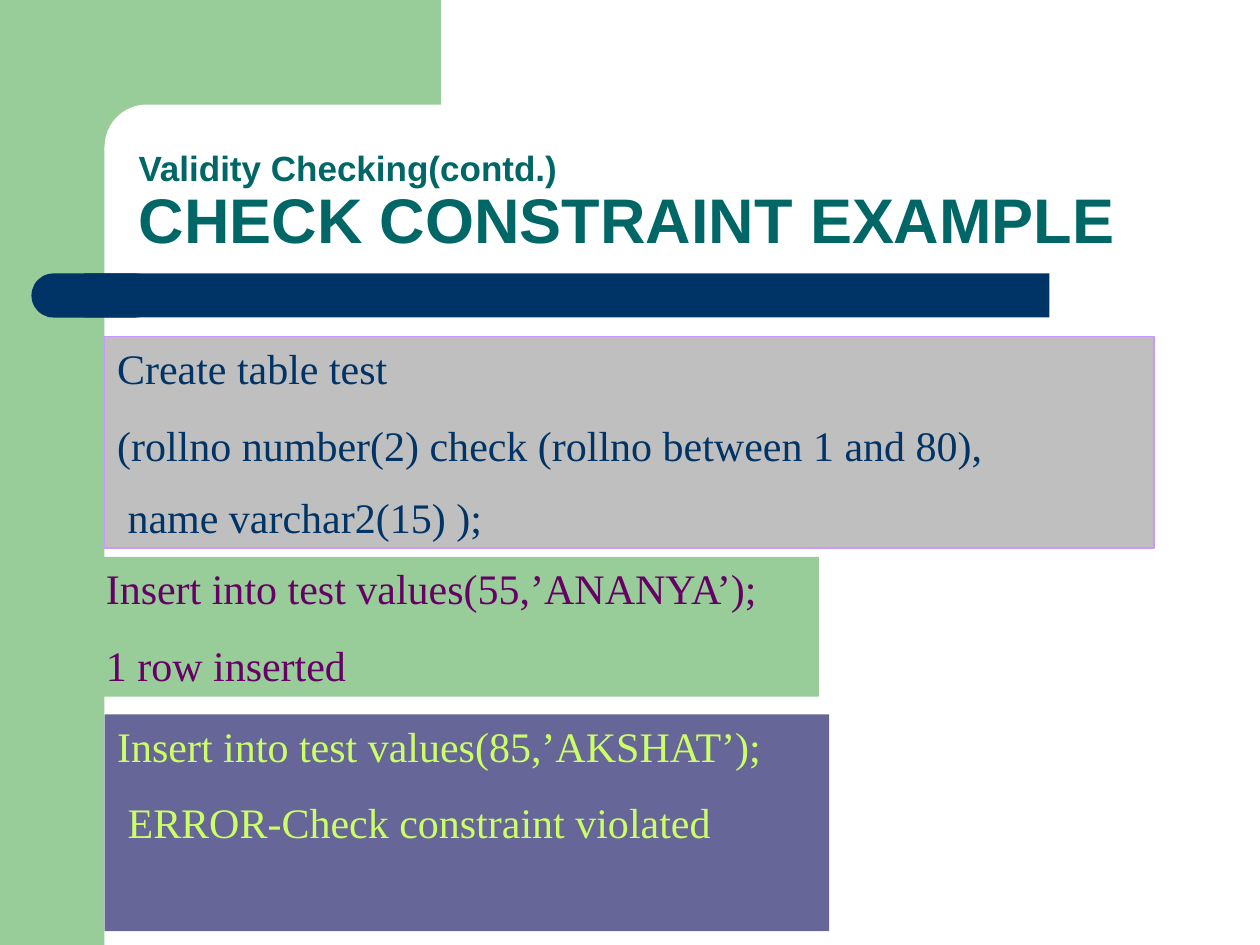
"""Builds the slide about a check constraint example."""
from dataclasses import dataclass
from typing import Optional

from pptx import Presentation
from pptx.dml.color import RGBColor
from pptx.enum.shapes import MSO_SHAPE
from pptx.enum.text import MSO_ANCHOR, PP_ALIGN
from pptx.util import Inches, Pt

GREEN = RGBColor(0x98, 0xCC, 0x98)
WHITE = RGBColor(0xFF, 0xFF, 0xFF)
NAVY = RGBColor(0x00, 0x33, 0x66)
TEAL = RGBColor(0x00, 0x66, 0x66)
GREY = RGBColor(0xBF, 0xBF, 0xBF)
LILAC = RGBColor(0xCC, 0x98, 0xFF)
INDIGO = RGBColor(0x66, 0x66, 0x98)
PURPLE = RGBColor(0x66, 0x00, 0x66)
LIME = RGBColor(0xCC, 0xFF, 0x66)
SANS, SERIF = "Arial", "Times New Roman"


@dataclass(frozen=True)
class Block:
    left: float
    top: float
    width: float
    height: float
    fill: RGBColor
    rounded: bool = False
    line: Optional[RGBColor] = None


@dataclass(frozen=True)
class Line:
    text: str
    color: RGBColor
    size: int = 24
    font: str = SERIF
    bold: bool = False
    indent: float = 0.01
    before: float = 1
    spacing: float = 1


BACKDROP = (
    Block(0, 0, 0.83, 7.5, GREEN),
    Block(0.75, 0, 2.75, 1.17, GREEN),
    Block(0.83, 0.83, 5.58, 0.67, WHITE, rounded=True),
    Block(0.25, 2.17, 1, 0.35, NAVY, rounded=True),
    Block(0.67, 2.17, 7.66, 0.35, NAVY),
)
CREATE_PANEL = Block(0.83, 2.67, 8.33, 1.68, GREY, line=LILAC)
INSERT_PANELS = (
    Block(0.75, 4.42, 5.75, 1.11, GREEN),
    Block(0.83, 5.67, 5.75, 1.72, INDIGO),
)
CREATE_LINES = (
    Line("Create table test", NAVY, indent=0.1, before=3.7),
    Line("(rollno number(2) check (rollno between 1 and 80),\v name varchar2(15) );",
         NAVY, indent=0.1, before=2.5, spacing=1.43),
)
INSERT_LINES = (
    Line("Insert into test values(55,’ANANYA’);\v1 row inserted", PURPLE, spacing=1.52),
    Line("Insert into test values(85,’AKSHAT’);\v ERROR-Check constraint violated",
         LIME, indent=0.1, before=2.3, spacing=1.52),
)
SUBTITLE = Line("Validity Checking(contd.)", TEAL, 20, SANS, True)
TITLE = Line("CHECK CONSTRAINT EXAMPLE", TEAL, 36, SANS, True)


def add_block(slide, block: Block):
    kind = MSO_SHAPE.ROUNDED_RECTANGLE if block.rounded else MSO_SHAPE.RECTANGLE
    shape = slide.shapes.add_shape(kind, Inches(block.left), Inches(block.top),
                                   Inches(block.width), Inches(block.height))
    shape.shadow.inherit = False
    shape.fill.solid()
    shape.fill.fore_color.rgb = block.fill
    if block.rounded:
        shape.adjustments[0] = 0.5
    if block.line is None:
        shape.line.fill.background()
    else:
        shape.line.color.rgb = block.line
        shape.line.width = Pt(0.74)
    return shape


def write_lines(shape, lines: tuple[Line, ...], top_inset: float = 0.01) -> None:
    frame = shape.text_frame
    frame.word_wrap = True
    frame.vertical_anchor = MSO_ANCHOR.TOP
    frame.margin_left = frame.margin_right = frame.margin_bottom = 0
    frame.margin_top = Inches(top_inset)
    for index, line in enumerate(lines):
        paragraph = frame.add_paragraph() if index else frame.paragraphs[0]
        paragraph.text = line.text
        paragraph.alignment = PP_ALIGN.LEFT
        paragraph.space_before = Pt(line.before)
        paragraph.line_spacing = line.spacing
        paragraph._p.get_or_add_pPr().set("marL", str(Inches(line.indent)))
        for run in paragraph.runs:
            run.font.name = line.font
            run.font.size = Pt(line.size)
            run.font.bold = line.bold
            run.font.color.rgb = line.color


def add_text(slide, left: float, top: float, width: float, height: float,
             lines: tuple[Line, ...]) -> None:
    box = slide.shapes.add_textbox(Inches(left), Inches(top), Inches(width), Inches(height))
    write_lines(box, lines)


def main() -> None:
    deck = Presentation()
    deck.slide_width, deck.slide_height = Inches(10), Inches(7.5)
    slide = deck.slides.add_slide(deck.slide_layouts[6])
    for block in BACKDROP:
        add_block(slide, block)
    add_text(slide, 1.09, 1.15, 3.37, 0.36, (SUBTITLE,))
    add_text(slide, 1.09, 1.42, 7.78, 0.63, (TITLE,))
    write_lines(add_block(slide, CREATE_PANEL), CREATE_LINES, top_inset=0.05)
    for panel in INSERT_PANELS:
        add_block(slide, panel)
    add_text(slide, 0.83, 4.25, 5.28, 2.49, INSERT_LINES)
    deck.save("out.pptx")


main()
